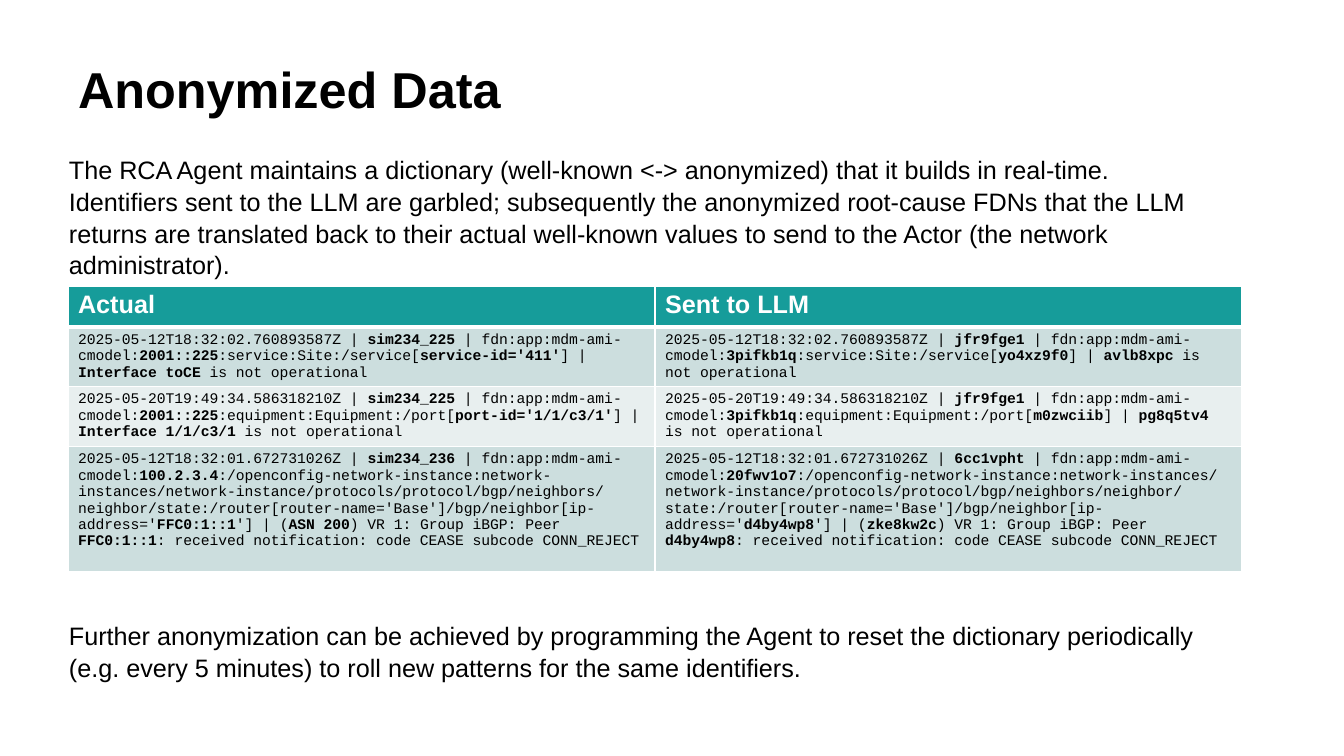
"""Build the slide on anonymized data sent to the LLM."""
from lxml import etree
from pptx import Presentation
from pptx.dml.color import RGBColor
from pptx.enum.text import MSO_ANCHOR, PP_ALIGN
from pptx.oxml.ns import qn
from pptx.util import Emu, Pt

TOP, LEFT = MSO_ANCHOR.TOP, PP_ALIGN.LEFT
EMU_PER_PX = 914400 / 100.8
COLORS = {"text": "000000", "white": "FFFFFF", "header": "169C9A",
          "dark band": "CCDEDE", "light band": "E8EFEF"}

TITLE = "Anonymized Data"
INTRODUCTION = [
    "The RCA Agent maintains a dictionary (well-known <-> anonymized) that it builds in real-time.",
    "Identifiers sent to the LLM are garbled; subsequently the anonymized root-cause FDNs that the LLM "
    "returns are translated back to their actual well-known values to send to the Actor (the network administrator).",
]
CONCLUSION = [
    "Further anonymization can be achieved by programming the Agent to reset the dictionary periodically "
    "(e.g. every 5 minutes) to roll new patterns for the same identifiers.",
]
HEADERS = ["Actual", "Sent to LLM"]
LOGS = [
    ("2025-05-12T18:32:02.760893587Z | *{}* | fdn:app:mdm-ami-cmodel:*{}*:service:Site:/service[*{}*] | "
     "*{}* is not operational",
     ("sim234_225", "2001::225", "service-id='411'", "Interface toCE"),
     ("jfr9fge1", "3pifkb1q", "yo4xz9f0", "avlb8xpc")),
    ("2025-05-20T19:49:34.586318210Z | *{}* | fdn:app:mdm-ami-cmodel:*{}*:equipment:Equipment:/port[*{}*] | "
     "*{}* is not operational",
     ("sim234_225", "2001::225", "port-id='1/1/c3/1'", "Interface 1/1/c3/1"),
     ("jfr9fge1", "3pifkb1q", "m0zwciib", "pg8q5tv4")),
    ("2025-05-12T18:32:01.672731026Z | *{0}* | fdn:app:mdm-ami-cmodel:*{1}*:/openconfig-network-instance:"
     "network-instances/network-instance/protocols/protocol/bgp/neighbors/neighbor/state:"
     "/router[router-name='Base']/bgp/neighbor[ip-address='*{2}*'] | (*{3}*) VR 1: Group iBGP: "
     "Peer *{2}*: received notification: code CEASE subcode CONN_REJECT",
     ("sim234_236", "100.2.3.4", "FFC0:1::1", "ASN 200"),
     ("6cc1vpht", "20fwv1o7", "d4by4wp8", "zke8kw2c")),
]

TITLE_BOX = (68, 60, 1174, 125)
INTRODUCTION_BOX = (59, 148, 1164, 132)
CONCLUSION_BOX = (59, 614, 1164, 72)
TABLE_BOX = (68, 286, 1174, 285)
ROW_HEIGHTS = [41, 59, 60, 125]

FORMATS = {
    "title": {"name": "Arial", "size": Pt(36), "bold": True},
    "body": {"name": "Arial", "size": Pt(18), "bold": False},
    "header": {"name": "Arial", "size": Pt(18), "bold": True},
    "log": {"name": "Courier New", "size": Pt(10.5), "bold": False},
}


def px(length):
    return Emu(round(length * EMU_PER_PX))


def box(lengths):
    return [px(length) for length in lengths]


def rgb(name):
    return RGBColor.from_string(COLORS[name])


def format_font(font, style, color="text"):
    for attribute, value in FORMATS[style].items():
        setattr(font, attribute, value)
    font.color.rgb = rgb(color)


def write(paragraph, text, style, color="text"):
    for index, part in enumerate(text.split("*")):
        if part:
            run = paragraph.add_run()
            run.text = part
            format_font(run.font, style, color)
            if index % 2:
                run.font.bold = True


def add_body(slide, lengths, lines):
    frame = slide.shapes.add_textbox(*box(lengths)).text_frame
    frame.word_wrap = True
    for index, line in enumerate(lines):
        paragraph = frame.add_paragraph() if index else frame.paragraphs[0]
        paragraph.line_spacing = 1.05
        write(paragraph, line, "body")


def set_borders(cell, bottom_width):
    properties = cell._tc.get_or_add_tcPr()
    widths = {"a:lnL": 1, "a:lnR": 1, "a:lnT": 1, "a:lnB": bottom_width}
    for position, (tag, width) in enumerate(widths.items()):
        line = etree.Element(qn(tag), w=str(Pt(width)))
        fill = etree.SubElement(line, qn("a:solidFill"))
        etree.SubElement(fill, qn("a:srgbClr"), val=COLORS["white"])
        properties.insert(position, line)


def add_log_table(slide):
    rows = [HEADERS] + [[pattern.format(*names) for names in columns] for pattern, *columns in LOGS]
    table = slide.shapes.add_table(len(rows), len(HEADERS), *box(TABLE_BOX)).table
    for row_index, texts in enumerate(rows):
        table.rows[row_index].height = px(ROW_HEIGHTS[row_index])
        is_header = row_index == 0
        band = "header" if is_header else "dark band" if row_index % 2 else "light band"
        for column_index, text in enumerate(texts):
            cell = table.cell(row_index, column_index)
            cell.fill.solid()
            cell.fill.fore_color.rgb = rgb(band)
            top_width = 3 if is_header else 1
            set_borders(cell, top_width)
            write(cell.text_frame.paragraphs[0], text, "header" if is_header else "log",
                  "white" if is_header else "text")


def main():
    presentation = Presentation()
    presentation.slide_width, presentation.slide_height = px(1344), px(756)
    slide = presentation.slides.add_slide(presentation.slide_layouts[5])
    title = slide.shapes.title
    title.left, title.top, title.width, title.height = box(TITLE_BOX)
    title.text_frame.vertical_anchor = TOP
    paragraph = title.text_frame.paragraphs[0]
    paragraph.alignment = LEFT
    paragraph.line_spacing = 0.9
    write(paragraph, TITLE, "title")
    add_log_table(slide)
    add_body(slide, INTRODUCTION_BOX, INTRODUCTION)
    add_body(slide, CONCLUSION_BOX, CONCLUSION)
    presentation.save("out.pptx")


if __name__ == "__main__":
    main()
